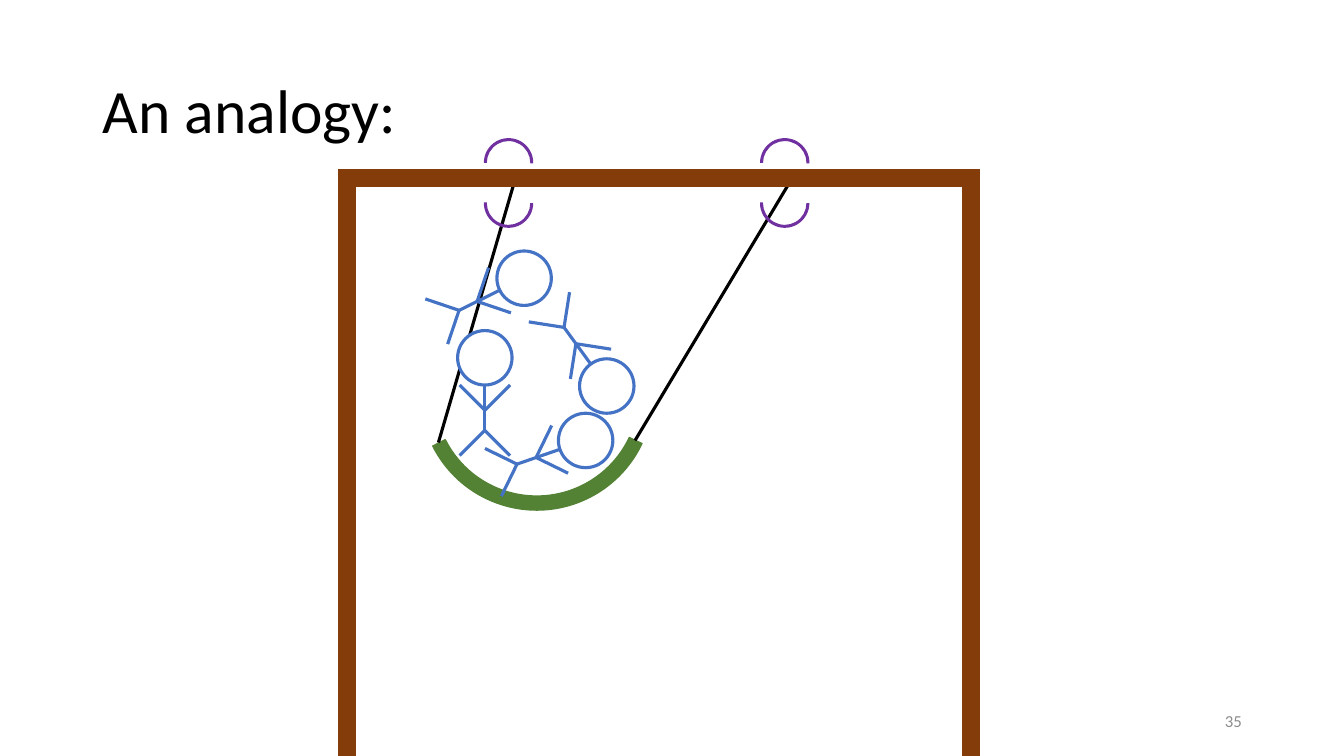
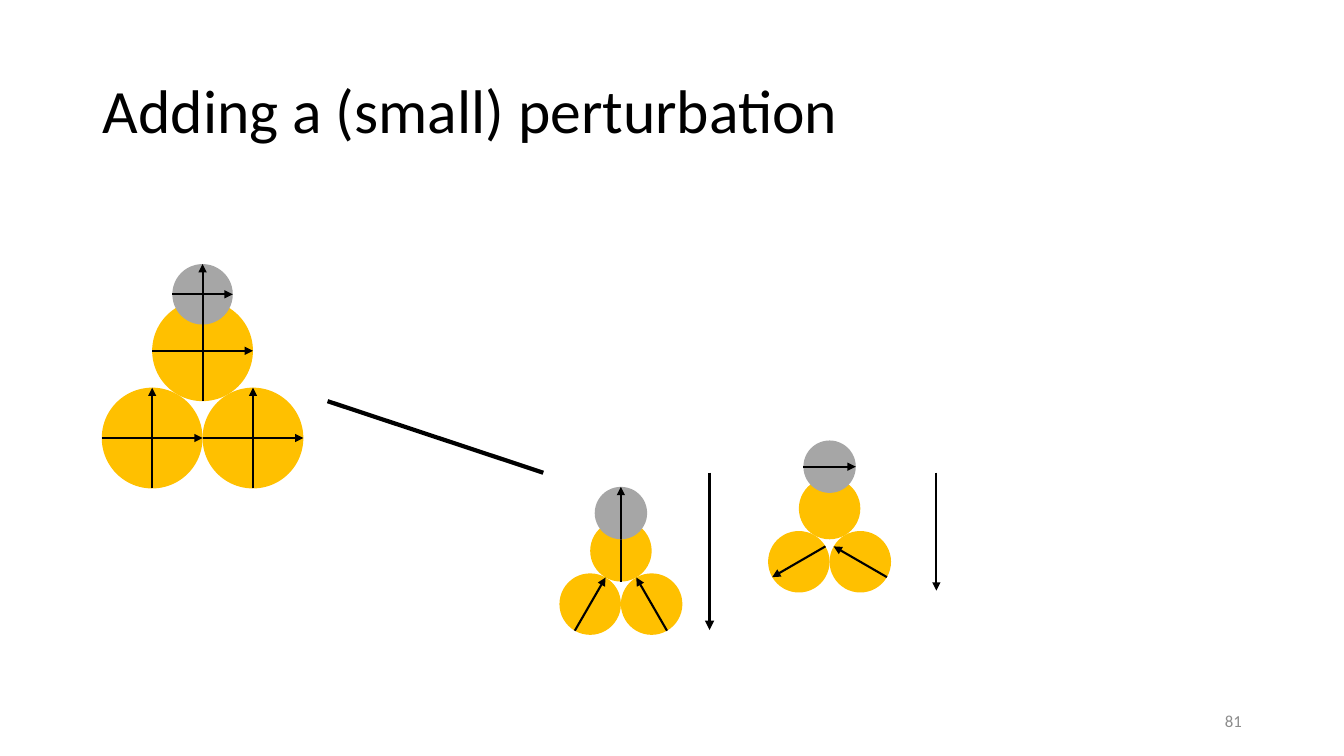
from copy import deepcopy
from math import cos, radians, sin

from lxml.etree import SubElement
from pptx import Presentation
from pptx.dml.color import RGBColor
from pptx.enum.shapes import MSO_CONNECTOR, MSO_SHAPE, PP_PLACEHOLDER
from pptx.enum.text import MSO_ANCHOR, PP_ALIGN
from pptx.oxml.ns import qn
from pptx.util import Emu, Inches, Pt

# Shared look: the slide is a grid with 100 columns and rows to the inch
COLS, ROWS = 1333.33, 750
BLACK, WHITE, GREY = "000000", "FFFFFF", "A6A6A6"
WOOD, GREEN, BLUE, PURPLE, GOLD = "843C0B", "548235", "4472C4", "7030A0", "FFC000"
PLACEHOLDERS = {
    PP_PLACEHOLDER.TITLE: {
        "box": (92, 40, 1150, 145),
        "font": {"name": "Calibri", "size": Pt(44)},
        "para": {"alignment": PP_ALIGN.LEFT, "line_spacing": 0.9},
        "color": BLACK,
    },
    PP_PLACEHOLDER.SLIDE_NUMBER: {
        "box": (942, 695, 300, 40),
        "font": {"name": "Calibri", "size": Pt(12)},
        "para": {"alignment": PP_ALIGN.RIGHT},
        "color": "8C8C8C",
    },
}


def grid(*cells):
    return [Emu(round(Inches(c / 100))) for c in cells]


def rgb(color):
    return RGBColor.from_string(color)


def set_attrs(obj, values):
    for name, value in values.items():
        setattr(obj, name, value)


def shape(parent, kind, box, fill, line=None, width=1, rot=0, adj=()):
    sp = parent.shapes.add_shape(kind, *grid(*box))
    sp.shadow.inherit = False
    sp.rotation = rot
    for i, value in enumerate(adj):
        sp.adjustments[i] = value
    sp.fill.solid()
    sp.fill.fore_color.rgb = rgb(fill)
    if line:
        sp.line.color.rgb = rgb(line)
        sp.line.width = Pt(width)
    else:
        sp.line.fill.background()
    return sp


def circle(parent, cx, cy, d, fill, **line):
    return shape(parent, MSO_SHAPE.OVAL, (cx - d / 2, cy - d / 2, d, d), fill, **line)


def line(parent, start, end, color=BLACK, width=1.5, arrow=False):
    cn = parent.shapes.add_connector(MSO_CONNECTOR.STRAIGHT, *grid(*start, *end))
    cn.line.color.rgb = rgb(color)
    cn.line.width = Pt(width)
    if arrow:
        SubElement(cn.line._get_or_add_ln(), qn("a:tailEnd"), type="triangle")
    SubElement(cn.element.spPr, qn("a:effectLst"))
    return cn


def format_placeholder(sp, text):
    style = PLACEHOLDERS[sp.placeholder_format.type]
    tf = sp.text_frame
    tf.text = text
    tf.vertical_anchor = MSO_ANCHOR.MIDDLE
    p = tf.paragraphs[0]
    set_attrs(p, style["para"])
    r = p.runs[0]
    set_attrs(r.font, style["font"])
    r.font.color.rgb = rgb(style["color"])


def style_layout(layout):
    for sp in layout.placeholders:
        style = PLACEHOLDERS.get(sp.placeholder_format.type)
        if style:
            set_attrs(sp, dict(zip(("left", "top", "width", "height"), grid(*style["box"]))))


def new_slide(prs, layout, title, number):
    s = prs.slides.add_slide(layout)
    format_placeholder(s.shapes.title, title)
    # Slide number, taken from the layout
    for sp in layout.placeholders:
        if sp.placeholder_format.type == PP_PLACEHOLDER.SLIDE_NUMBER:
            s.shapes._spTree.append(deepcopy(sp.element))
            format_placeholder(list(s.shapes)[-1], number)
    return s


def person(s, cx, cy, turn):
    """Stick figure turned clockwise about the centre of its head."""
    g = s.shapes.add_group_shape()
    a = radians(turn)

    def at(x, y):
        return cx + x * cos(a) - y * sin(a), cy + x * sin(a) + y * cos(a)

    circle(g, cx, cy, 54, WHITE, line=BLUE, width=2.25)
    neck, shoulder, hip = 26, 52, 72
    limbs = [((0, neck), (0, hip))]
    for side in (25, -25):
        limbs += [((0, hip), (side, hip + 25)), ((0, shoulder), (side, shoulder - 25))]
    for start, end in limbs:
        line(g, at(*start), at(*end), BLUE, 2.25)


def swing(s, x, y, w, h):
    beam = 17
    # Seat and ropes
    shape(s, MSO_SHAPE.BLOCK_ARC, (x + 81, y + 107, 231, 231), GREEN, GREEN,
          rot=180, adj=(123.23, 199.96, 0.06))
    for sx, sy, top_x in ((99, 271, 173), (294, 269, 445)):
        line(s, (x + sx, y + sy), (x + top_x, y + beam), width=2.25)
    # Wooden frame
    for box in ((x, y + beam, beam, h - beam),
                (x + w - beam, y + beam, beam, h - beam),
                (x, y, w, beam)):
        shape(s, MSO_SHAPE.RECTANGLE, box, WOOD, WOOD)
    # People on the seat
    for cx, cy, turn in ((145, 187, 0), (245, 269, 71), (266, 215, 143.9), (184, 108, 63.7)):
        person(s, x + cx, y + cy, turn)
    # Rings around the beam: lower half, then upper half
    for ring_x in (418, 144):
        for ring_y, rot in ((9, 180), (-31, 0)):
            shape(s, MSO_SHAPE.BLOCK_ARC, (x + ring_x, y + ring_y, 49, 49), PURPLE,
                  rot=rot, adj=(108, 1, 0.06))


def atom_arrows(s, cx, cy, d, angles):
    """Arrows through the centre; angles run counterclockwise from the right."""
    for angle in angles:
        dx, dy = d / 2 * cos(radians(angle)), -d / 2 * sin(radians(angle))
        line(s, (cx - dx, cy - dy), (cx + dx, cy + dy), arrow=True)


def molecule(s, x, y, d, cap, drop, arrows, cap_angles):
    """Three touching atoms and a cap; drop is the top atom's distance below y."""
    top = y + drop + d / 2
    low = top + d * sin(radians(60))
    centres = ((x + d, top), (x + d / 2, low), (x + 1.5 * d, low))
    for cx, cy in centres:
        circle(s, cx, cy, d, GOLD)
    for (cx, cy), angles in zip(centres, arrows):
        atom_arrows(s, cx, cy, d, angles)
    circle(s, x + d, y + cap / 2, cap, GREY)
    atom_arrows(s, x + d, y + cap / 2, cap, cap_angles)


def perturbation(s, x, y):
    both = (90, 0)
    molecule(s, x, y, 100, 60, 36, (both, both, both), both)
    molecule(s, x + 454, y + 221, 61, 52, 33, ((90,), (60,), (120,)), (90,))
    molecule(s, x + 661, y + 175, 61, 52, 37, ((), (210,), (150,)), (0,))
    # Splitting line and downward shifts
    level = y + 207
    line(s, (x + 224, y + 136), (x + 438, level), width=3)
    for shift_x, length in ((603, 156), (828, 117)):
        line(s, (x + shift_x, level), (x + shift_x, level + length), arrow=True,
             width=2.25 if length > 150 else 1.5)


def main():
    prs = Presentation()
    prs.slide_width, prs.slide_height = grid(COLS, ROWS)
    layout = prs.slide_layouts[5]
    style_layout(layout)
    swing(new_slide(prs, layout, "An analogy:", "35"), 336, 168, 636, 582)
    perturbation(new_slide(prs, layout, "Adding a (small) perturbation", "81"), 101, 262)
    prs.save("out.pptx")


if __name__ == "__main__":
    main()
